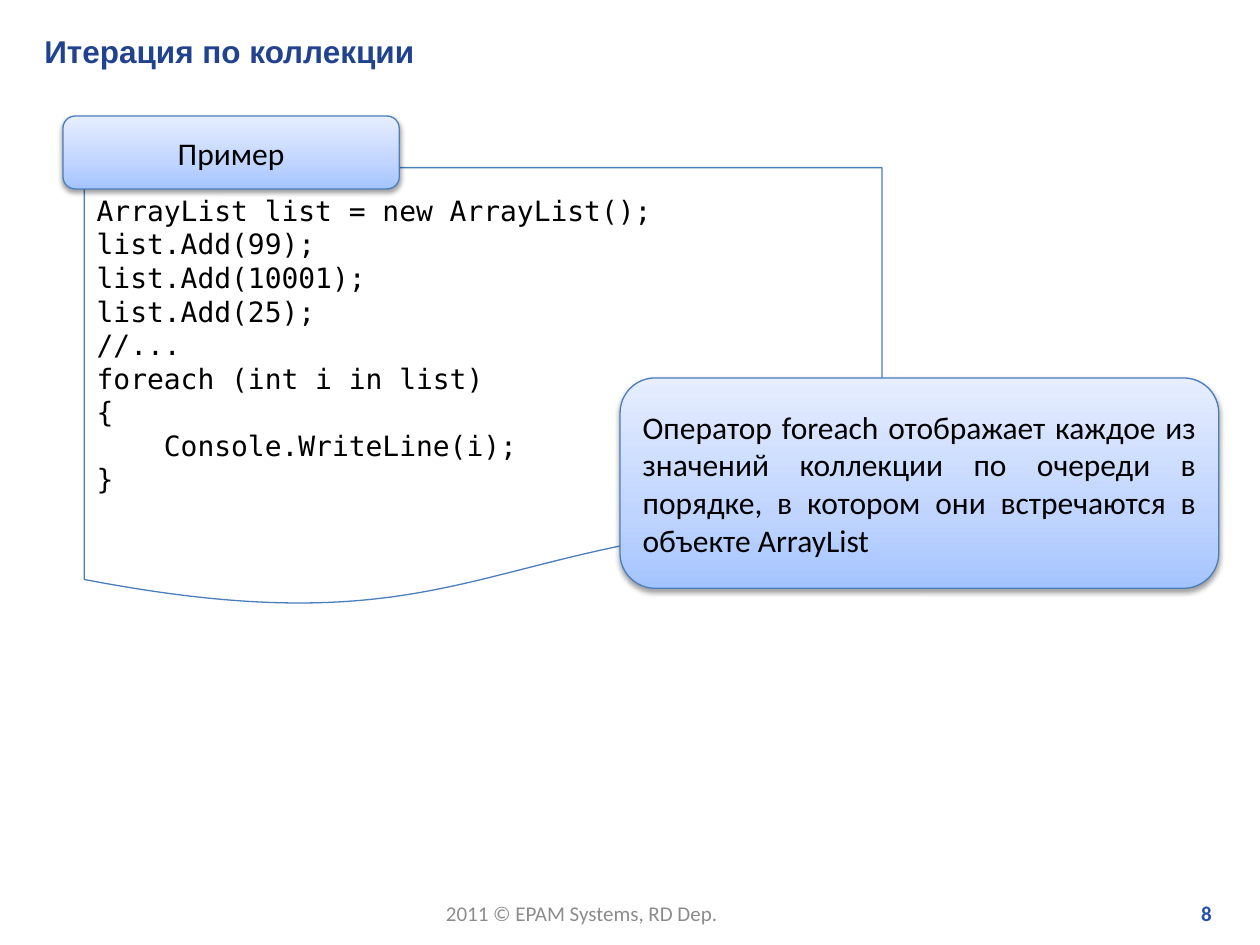
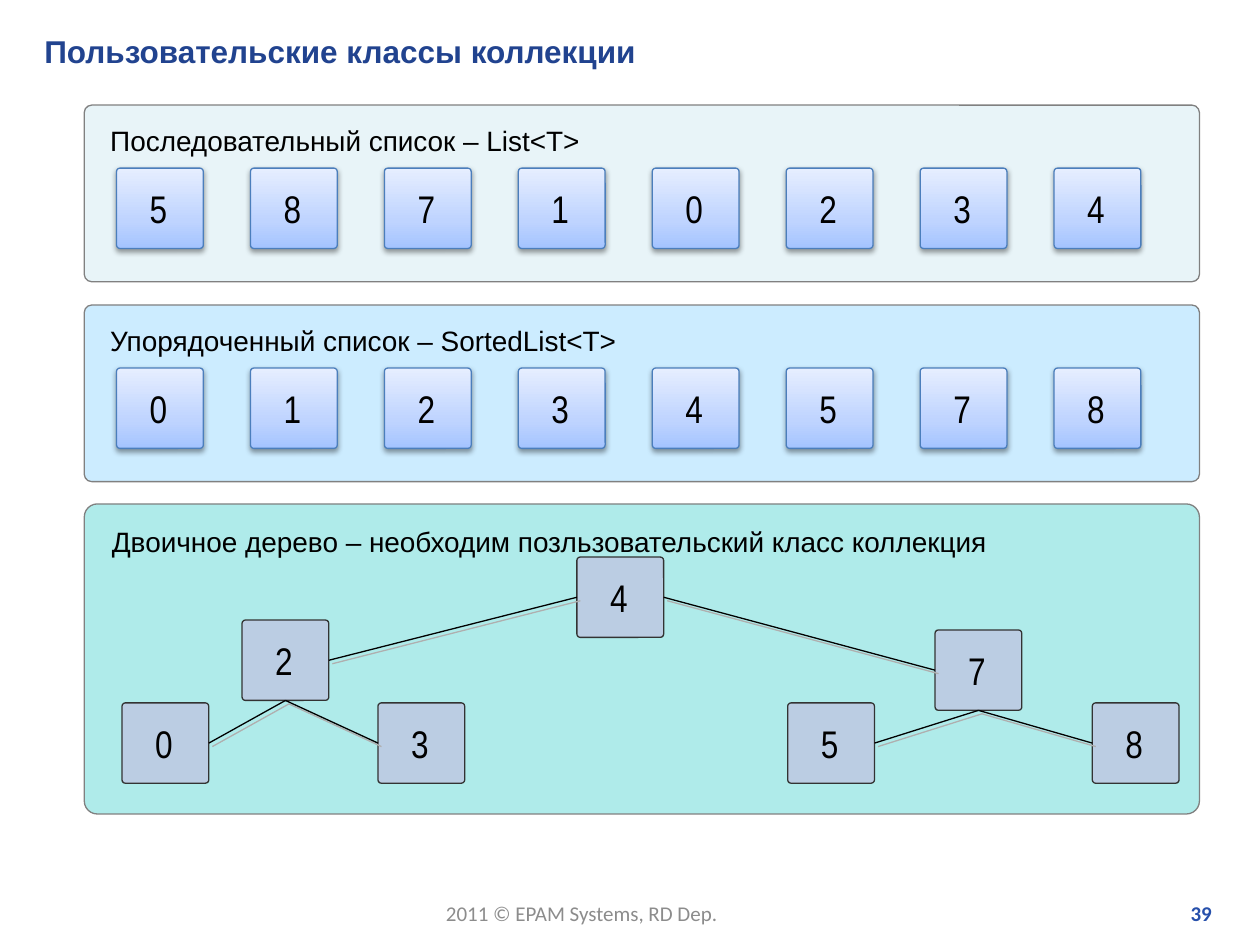
"""Build two slides on iterating over collections and on custom collection classes."""
import pptx
import pptx.dml.color
import pptx.enum.shapes
import pptx.enum.text
import pptx.oxml.ns
import pptx.util
from lxml import etree

Cm, Pt = pptx.util.Cm, pptx.util.Pt
qn = pptx.oxml.ns.qn
SHAPE = pptx.enum.shapes.MSO_SHAPE
ALIGN = pptx.enum.text.PP_ALIGN
ANCHOR = pptx.enum.text.MSO_ANCHOR

COLORS = {
    "title": "21438F", "footer": "8C8C8C", "number": "2750AB", "text": "000000",
    "white": "FFFFFF", "blue_line": "4B7EBC", "panel_line": "808080",
    "node": "BBCDE3", "node_line": "333333", "edge": "000000", "edge_shadow": "AFAFAF",
    "list": "E8F4F8", "sorted": "CCECFF", "tree": "AFEBEA",
}
GRADIENT = [(0, "A4C4FF"), (35, "BFD4FF"), (100, "E6EEFF")]
SOFT_SHADOW = (COLORS["text"], 38, 3.1, 1.6, 90)
EDGE_SHADOW = (COLORS["edge_shadow"], 100, 0, 2.8, 45)

FOOTER = "2011 © EPAM Systems, RD Dep."
CODE = """ArrayList list = new ArrayList();
list.Add(99);
list.Add(10001);
list.Add(25);
//...
foreach (int i in list)
{
    Console.WriteLine(i);
}"""
CALLOUTS = [
    ("Пример", (1.27, 2.34, 6.78, 1.47), ALIGN.CENTER),
    ("Оператор foreach отображает каждое из значений коллекции по очереди в порядке, "
     "в котором они встречаются в объекте ArrayList", (12.5, 7.62, 12.07, 4.24), ALIGN.JUSTIFY),
]
PANELS = [
    ("Последовательный список – List<T>", "list", 2.12, 3.56, "58710234"),
    ("Упорядоченный список – SortedList<T>", "sorted", 6.15, 3.56, "01234578"),
    ("Двоичное дерево – необходим позльзовательский класс коллекция", "tree", 10.16, 6.25, ""),
]
LEAF_TOP = 14.17
NODES = {
    "2": (4.88, 12.5), "3": (7.62, LEAF_TOP), "4": (11.63, 11.23), "0": (2.46, LEAF_TOP),
    "5": (15.88, LEAF_TOP), "7": (18.85, 12.7), "8": (22.02, LEAF_TOP),
}
TOP, LEFT, BOTTOM, RIGHT = range(4)
EDGES = [
    ("4", LEFT, "2", RIGHT), ("4", RIGHT, "7", LEFT),
    ("2", BOTTOM, "0", RIGHT), ("2", BOTTOM, "3", LEFT),
    ("7", BOTTOM, "5", RIGHT), ("7", BOTTOM, "8", LEFT),
]
PANEL_LEFT, PANEL_WIDTH = 1.7, 22.48
CELL_LEFT, CELL_STEP, CELL_DROP = 2.35, 2.7, 1.27
CELL_WIDTH, CELL_HEIGHT = 1.75, 1.62


def rgb(value):
    return pptx.dml.color.RGBColor.from_string(value)


def write(tf, text, font, size, color="text", bold=False, align=ALIGN.LEFT,
          indent=0, spacing=None, after=None):
    tf.text = text
    for p in tf.paragraphs:
        p.alignment, p.line_spacing = align, spacing
        if after:
            p.space_after = Pt(after)
        if indent:
            pPr = p._p.get_or_add_pPr()
            pPr.set("marL", str(Cm(indent)))
            pPr.set("indent", "0")
        p.font.name, p.font.size, p.font.bold = font, Pt(size), bold
        p.font.color.rgb = rgb(COLORS[color])


def set_margins(tf, left, top, right, bottom):
    tf.margin_left, tf.margin_top = Cm(left), Cm(top)
    tf.margin_right, tf.margin_bottom = Cm(right), Cm(bottom)


def add_effects(sp, shadow=None):
    effects = etree.SubElement(sp._element.spPr, qn("a:effectLst"))
    if shadow:
        color, alpha, blur, dist, angle = shadow
        outer = etree.SubElement(effects, qn("a:outerShdw"), blurRad=str(Pt(blur)),
                                 dist=str(Pt(dist)), dir=str(angle * 60000), rotWithShape="0")
        clr = etree.SubElement(outer, qn("a:srgbClr"), val=color)
        etree.SubElement(clr, qn("a:alpha"), val=str(alpha * 1000))


def fill_gradient(sp):
    sp.fill.gradient()
    sp.fill.gradient_angle = 90
    stops = sp._element.spPr.find(".//" + qn("a:gsLst"))
    for stop in list(stops):
        stops.remove(stop)
    for position, color in GRADIENT:
        stop = etree.SubElement(stops, qn("a:gs"), pos=str(position * 1000))
        etree.SubElement(stop, qn("a:srgbClr"), val=color)


def add_box(s, box, fill=None, line="blue_line", kind=SHAPE.ROUNDED_RECTANGLE, corner=None):
    sp = s.shapes.add_shape(kind, *map(Cm, box))
    if corner:
        sp.adjustments[0] = corner
    if fill:
        sp.fill.solid()
        sp.fill.fore_color.rgb = rgb(COLORS[fill])
    else:
        fill_gradient(sp)
    sp.line.color.rgb = rgb(COLORS[line])
    sp.line.width = Pt(0.75)
    add_effects(sp, None if fill else SOFT_SHADOW)
    sp.text_frame.vertical_anchor = ANCHOR.MIDDLE
    return sp


def add_cell(s, value, left, top, **style):
    sp = add_box(s, (left, top, CELL_WIDTH, CELL_HEIGHT), corner=0.042, **style)
    set_margins(sp.text_frame, 0, 0.13, 0.36, 0.13)
    write(sp.text_frame, value, "Arial Narrow", 22, align=ALIGN.CENTER, indent=0.3)
    return sp


def add_slide(prs, title, number):
    s = prs.slides.add_slide(prs.slide_layouts[5])
    footers = [(FOOTER, (8.74, 18.03, 6.07, 0.76), "footer", False, ALIGN.LEFT),
               (number, (19.3, 18.03, 5.38, 0.76), "number", True, ALIGN.RIGHT)]
    for text, box, color, bold, align in footers:
        tf = s.shapes.add_textbox(*map(Cm, box)).text_frame
        tf.word_wrap = bold
        write(tf, text, "Calibri", 12, color, bold, align)
    sp = s.shapes.title
    sp.left, sp.top, sp.width, sp.height = map(Cm, (0.64, 0.51, 24.23, 1.02))
    sp.text_frame.vertical_anchor = ANCHOR.TOP
    sp.text_frame.auto_size = pptx.enum.text.MSO_AUTO_SIZE.NONE
    write(sp.text_frame, title, "Arial", 18, "title", True)
    return s


def build_iteration(prs):
    s = add_slide(prs, "Итерация по коллекции", "8")
    sp = add_box(s, (1.7, 3.38, 16.08, 8.89), "white", kind=SHAPE.FLOWCHART_DOCUMENT)
    write(sp.text_frame, CODE, "DejaVu Sans Mono", 16)
    for text, box, align in CALLOUTS:
        sp = add_box(s, box)
        write(sp.text_frame, text, "Calibri", 18, align=align, after=10)


def build_collections(prs):
    s = add_slide(prs, "Пользовательские классы коллекции", "39")
    for heading, fill, top, height, values in PANELS:
        sp = add_box(s, (PANEL_LEFT, top, PANEL_WIDTH, height), fill, "panel_line", corner=0.042)
        tf = sp.text_frame
        tf.vertical_anchor = ANCHOR.TOP
        set_margins(tf, 0, 0, 0, 0)
        write(tf, heading, "Arial", 16, indent=0.48, spacing=1.5)
        for i, value in enumerate(values):
            add_cell(s, value, CELL_LEFT + i * CELL_STEP, top + CELL_DROP)
    nodes = {value: add_cell(s, value, left, top, fill="node", line="node_line")
             for value, (left, top) in NODES.items()}
    for parent, start, child, end in EDGES:
        edge = s.shapes.add_connector(pptx.enum.shapes.MSO_CONNECTOR.STRAIGHT, 0, 0, 0, 0)
        edge.begin_connect(nodes[parent], start)
        edge.end_connect(nodes[child], end)
        edge.line.color.rgb = rgb(COLORS["edge"])
        edge.line.width = Pt(0.75)
        add_effects(edge, EDGE_SHADOW)


def main():
    prs = pptx.Presentation()
    prs.slide_width, prs.slide_height = Cm(25.4), Cm(19.05)
    build_iteration(prs)
    build_collections(prs)
    prs.save("out.pptx")


if __name__ == "__main__":
    main()
